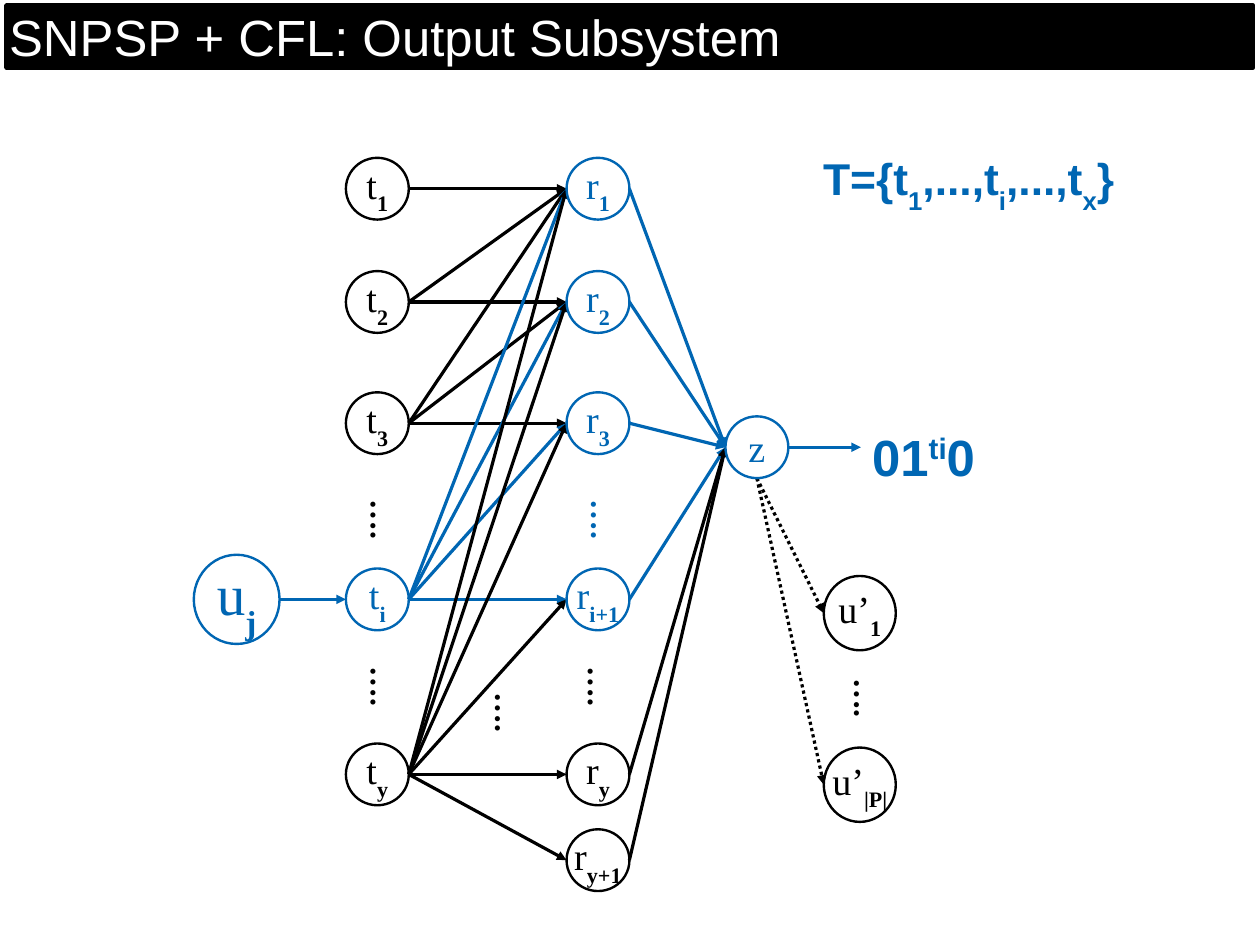
from dataclasses import dataclass

from lxml import etree
from pptx import Presentation
from pptx.dml.color import RGBColor
from pptx.enum.dml import MSO_LINE
from pptx.enum.shapes import MSO_CONNECTOR, MSO_SHAPE
from pptx.enum.text import MSO_ANCHOR, MSO_AUTO_SIZE, PP_ALIGN
from pptx.oxml.ns import qn
from pptx.util import Inches, Pt

OVAL, STRAIGHT = MSO_SHAPE.OVAL, MSO_CONNECTOR.STRAIGHT
DOTTED = MSO_LINE.ROUND_DOT
MIDDLE, TOP = MSO_ANCHOR.MIDDLE, MSO_ANCHOR.TOP
LEFT, CENTER = PP_ALIGN.LEFT, PP_ALIGN.CENTER
NO_FIT = MSO_AUTO_SIZE.NONE


@dataclass(frozen=True)
class Theme:
    black: RGBColor = RGBColor(0, 0, 0)
    blue: RGBColor = RGBColor(0x00, 0x66, 0xB3)
    white: RGBColor = RGBColor(255, 255, 255)
    sans: str = "Arial"
    serif: str = "Times New Roman"
    title: int = 32
    result: int = 32
    formula: int = 28
    node: int = 24
    source: int = 36
    dots: int = 20
    ring: float = 1.5
    edge: float = 2
    frame: float = 3


THEME = Theme()
BLACK, BLUE = THEME.black, THEME.blue

TITLE = "SNPSP + CFL: Output Subsystem"
# Rows: subscript, centre height, colour
T_ROWS = [("1", 1.65, BLACK), ("2", 2.64, BLACK), ("3", 3.7, BLACK),
          ("i", 5.24, BLUE), ("y", 6.77, BLACK)]
R_ROWS = [("1", 1.65, BLUE), ("2", 2.64, BLUE), ("3", 3.7, BLUE),
          ("i+1", 5.24, BLUE), ("y", 6.77, BLACK), ("y+1", 7.52, BLACK)]
U_ROWS = [("1", 5.36), ("|P|", 6.86)]
# Dots: left, top, colour
DOTS = [(3.04, 4.39, BLACK), (4.97, 4.39, BLUE), (3.04, 5.85, BLACK),
        (4.94, 5.85, BLACK), (4.13, 6.08, BLACK), (7.27, 5.95, BLACK)]
# Runs: text, baseline shift in percent
RESULT = [("01", 0), ("ti", 33), ("0", 0)]
FORMULA = [("T={t", 0), ("1", -33), (",...,t", 0), ("i", -33),
           (",...,t", 0), ("x", -33), ("}", 0)]

T_X, R_X, Z_X, U_X, SRC_X = 3.3, 5.23, 6.62, 7.52, 2.07
Z_Y, SRC_Y, OUT_X = 3.91, 5.24, 7.53
SMALL, MEDIUM, LARGE = (0.55, 0.54), (0.63, 0.65), (0.75, 0.78)


def set_frame(frame, margins, anchor, wrap):
    side, end = margins
    frame.margin_left = frame.margin_right = Inches(side)
    frame.margin_top = frame.margin_bottom = Inches(end)
    frame.vertical_anchor, frame.word_wrap = anchor, wrap
    frame.auto_size = NO_FIT


def style(font, name, size, color):
    font.name, font.size = name, Pt(size)
    font.color.rgb = color


def add_run(para, text, shift=0):
    run = para.add_run()
    run.text = text
    if shift:
        run._r.get_or_add_rPr().set("baseline", str(shift * 1000))
    return run


def add_node(slide, x, y, size, name, sub, color, points=THEME.node):
    """Draw a ring centred on x, y, labelled with a name and a subscript."""
    w, h = size
    ring = slide.shapes.add_shape(OVAL, Inches(x - w / 2), Inches(y - h / 2),
                                  Inches(w), Inches(h))
    ring.shadow.inherit = False
    ring.fill.background()
    ring.line.color.rgb, ring.line.width = color, Pt(THEME.ring)
    set_frame(ring.text_frame, (0.11, 0.06), MIDDLE, False)
    para = ring.text_frame.paragraphs[0]
    para.alignment = CENTER
    style(para.font, THEME.serif, points, color)
    add_run(para, name)
    if sub:
        add_run(para, sub, -33).font.bold = True


def add_edge(slide, start, end, color, dash=None):
    edge = slide.shapes.add_connector(STRAIGHT, *map(Inches, start + end))
    edge.line.color.rgb, edge.line.width = color, Pt(THEME.edge)
    if dash:
        edge.line.dash_style = dash
    etree.SubElement(edge.line._get_or_add_ln(), qn("a:tailEnd"), type="triangle")
    etree.SubElement(edge._element.spPr, qn("a:effectLst"))


def add_text(slide, box, runs, font, size, color, wrap=True, turn=0):
    label = slide.shapes.add_textbox(*map(Inches, box))
    label.rotation = turn
    set_frame(label.text_frame, (0.1, 0.05), TOP, wrap)
    para = label.text_frame.paragraphs[0]
    style(para.font, font, size, color)
    para.font.bold = True
    for text, shift in runs:
        add_run(para, text, shift)


def add_title(slide):
    bar = slide.shapes.title
    bar.left, bar.top, bar.width, bar.height = map(Inches, (0.06, 0.05, 10.9, 0.54))
    bar.fill.solid()
    bar.fill.fore_color.rgb = bar.line.color.rgb = BLACK
    bar.line.width = Pt(THEME.frame)
    bar.text_frame.text = TITLE
    set_frame(bar.text_frame, (0.02, 0.02), MIDDLE, True)
    para = bar.text_frame.paragraphs[0]
    para.alignment = LEFT
    style(para.font, THEME.sans, THEME.title, THEME.white)


def add_edges(slide):
    half = SMALL[0] / 2
    z_left, z_low = (Z_X - half, Z_Y), (Z_X, Z_Y + SMALL[1] / 2)
    last = len(T_ROWS) - 1
    for i, (_, y, color) in enumerate(T_ROWS):
        reach = len(R_ROWS) if i == last else i + 1
        for _, goal, _ in R_ROWS[:reach]:
            add_edge(slide, (T_X + half, y), (R_X - half, goal), color)
    for _, y, color in R_ROWS:
        add_edge(slide, (R_X + half, y), z_left, color)
    for _, y in U_ROWS:
        add_edge(slide, z_low, (U_X - MEDIUM[0] / 2, y), BLACK, DOTTED)
    add_edge(slide, (SRC_X + LARGE[0] / 2, SRC_Y), (T_X - half, SRC_Y), BLUE)
    add_edge(slide, (Z_X + half, Z_Y), (OUT_X, Z_Y), BLUE)


def add_nodes(slide):
    for name, x, rows in (("t", T_X, T_ROWS), ("r", R_X, R_ROWS)):
        for sub, y, color in rows:
            add_node(slide, x, y, SMALL, name, sub, color)
    for sub, y in U_ROWS:
        add_node(slide, U_X, y, MEDIUM, "u’", sub, BLACK)
    add_node(slide, Z_X, Z_Y, SMALL, "z", "", BLUE)
    add_node(slide, SRC_X, SRC_Y, LARGE, "u", "j", BLUE, THEME.source)


def main():
    deck = Presentation()
    deck.slide_width, deck.slide_height = Inches(11.02), Inches(8.27)
    slide = deck.slides.add_slide(deck.slide_layouts[5])
    add_title(slide)
    add_edges(slide)
    add_nodes(slide)
    for x, y, color in DOTS:
        add_text(slide, (x, y, 0.65, 0.41), [("….", 0)], THEME.serif,
                 THEME.dots, color, turn=90)
    add_text(slide, (OUT_X, 3.67, 1.1, 0.6), RESULT, THEME.sans,
             THEME.result, BLUE, wrap=False)
    add_text(slide, (7.1, 1.27, 3.11, 0.63), FORMULA, THEME.sans,
             THEME.formula, BLUE)
    deck.save("out.pptx")


if __name__ == "__main__":
    main()
